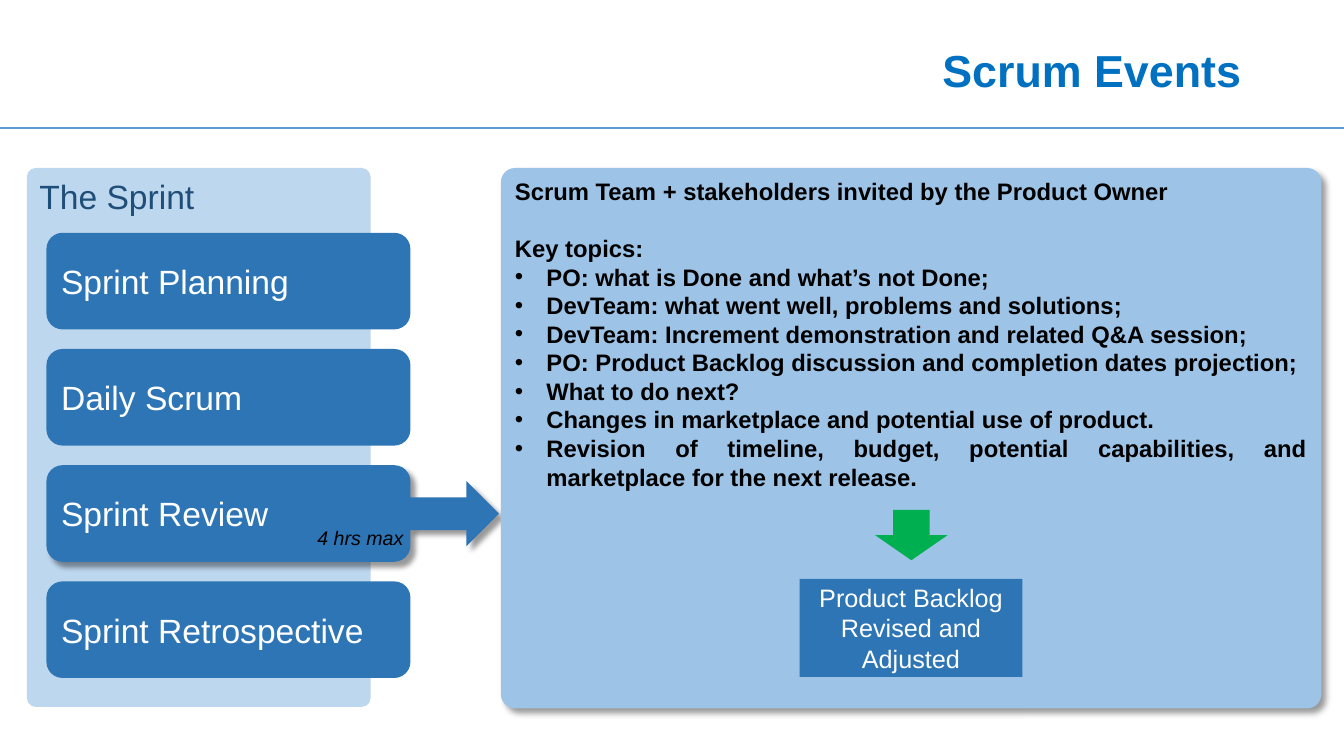
from lxml import etree
from pptx import Presentation
from pptx.dml.color import RGBColor
from pptx.enum.shapes import MSO_CONNECTOR, MSO_SHAPE
from pptx.enum.text import MSO_ANCHOR, MSO_AUTO_SIZE, PP_ALIGN
from pptx.oxml.ns import qn
from pptx.util import Pt

ROUNDED = MSO_SHAPE.ROUNDED_RECTANGLE
STRAIGHT = MSO_CONNECTOR.STRAIGHT
TOP, MIDDLE = MSO_ANCHOR.TOP, MSO_ANCHOR.MIDDLE
LEFT, RIGHT, CENTER, JUSTIFY = PP_ALIGN.LEFT, PP_ALIGN.RIGHT, PP_ALIGN.CENTER, PP_ALIGN.JUSTIFY
GROW = MSO_AUTO_SIZE.SHAPE_TO_FIT_TEXT

BLACK = RGBColor(0x00, 0x00, 0x00)
WHITE = RGBColor(0xFF, 0xFF, 0xFF)
TITLE_BLUE = RGBColor(0x00, 0x70, 0xC0)
RULE_BLUE = RGBColor(0x5B, 0x9B, 0xD5)
PALE_BLUE = RGBColor(0xBD, 0xD7, 0xEE)
PANEL_BLUE = RGBColor(0x9D, 0xC3, 0xE6)
EVENT_BLUE = RGBColor(0x2E, 0x75, 0xB6)
NAVY = RGBColor(0x1F, 0x4E, 0x79)
GREEN = RGBColor(0x00, 0xB0, 0x50)


def add_block(kind, left, top, width, height, color, corner=None, shadow=False):
    box = page.shapes.add_shape(kind, Pt(left), Pt(top), Pt(width), Pt(height))
    box.shadow.inherit = False
    box.fill.solid()
    box.fill.fore_color.rgb = color
    box.line.fill.background()
    if corner is not None:
        box.adjustments[0] = corner
    if shadow:
        effects = box._element.spPr.find(qn("a:effectLst"))
        outer = etree.SubElement(effects, qn("a:outerShdw"), blurRad=str(Pt(4)),
                                 dist=str(Pt(5)), dir="2700000", algn="tl", rotWithShape="0")
        tint = etree.SubElement(outer, qn("a:srgbClr"), val="000000")
        etree.SubElement(tint, qn("a:alpha"), val="40000")
    return box


def write(box, lines, size, color, align=LEFT, anchor=MIDDLE, bold=False, italic=False):
    frame = box.text_frame
    frame.vertical_anchor = anchor
    for index, line in enumerate(lines):
        para = frame.add_paragraph() if index else frame.paragraphs[0]
        para.alignment = align
        span = para.add_run()
        span.text = line
        span.font.name = "Arial"
        span.font.size = Pt(size)
        span.font.bold = bold
        span.font.italic = italic
        span.font.color.rgb = color


deck = Presentation()
deck.slide_width, deck.slide_height = Pt(960), Pt(540)
page = deck.slides.add_slide(deck.slide_layouts[5])

# Title and rule
rule = page.shapes.add_connector(STRAIGHT, Pt(0), Pt(91.4), Pt(960), Pt(91.4))
rule.line.color.rgb = RULE_BLUE
rule.line.width = Pt(1.5)
etree.SubElement(rule._element.spPr, qn("a:effectLst"))

title = page.shapes.title
title.left, title.top, title.width, title.height = Pt(66), Pt(28.8), Pt(828), Pt(46)
write(title, ["Scrum Events"], 32, TITLE_BLUE, RIGHT, bold=True)
title.text_frame.paragraphs[0].line_spacing = 0.9

# Sprint container with its events
sprint = add_block(ROUNDED, 19.2, 120, 245.5, 385, PALE_BLUE, 0.026)
write(sprint, ["The Sprint"], 24, NAVY, anchor=TOP)

EVENTS = ["Sprint Planning", "Daily Scrum", "Sprint Review", "Sprint Retrospective"]
CURRENT = "Sprint Review"
for row, event in enumerate(EVENTS):
    card = add_block(ROUNDED, 33.2, 166.3 + 83 * row, 260, 69, EVENT_BLUE,
                     shadow=event == CURRENT)
    write(card, [event], 24, WHITE)

add_block(MSO_SHAPE.RIGHT_ARROW, 292.5, 343.5, 64, 46.8, EVENT_BLUE, shadow=True)

# Details of the current event
INTRO = ["Scrum Team + stakeholders invited by the Product Owner", "Key topics:"]
TOPICS = [
    "PO: what is Done and what’s not Done;",
    "DevTeam: what went well, problems and solutions;",
    "DevTeam: Increment demonstration and related Q&A session;",
    "PO: Product Backlog discussion and completion dates projection;",
    "What to do next?",
    "Changes in marketplace and potential use of product.",
    "Revision of timeline, budget, potential capabilities, and marketplace for the next release.",
]
panel = add_block(ROUNDED, 357.8, 120, 586, 386, PANEL_BLUE, 0.026, shadow=True)
write(panel, INTRO + TOPICS, 17, BLACK, JUSTIFY, TOP, bold=True)
paras = panel.text_frame.paragraphs
paras[1].space_before = Pt(20)
for para in paras[len(INTRO):]:
    props = para._p.get_or_add_pPr()
    props.set("marL", str(Pt(22.5)))
    props.set("indent", str(-Pt(22.5)))
    etree.SubElement(props, qn("a:buFont"), typeface="Arial")
    etree.SubElement(props, qn("a:buChar"), char="•")

# Time limit
limit = page.shapes.add_textbox(Pt(219.6), Pt(372.2), Pt(76.3), Pt(24.5))
limit.text_frame.word_wrap = False
limit.text_frame.auto_size = GROW
write(limit, ["4 hrs max"], 14, BLACK, anchor=TOP, italic=True)

# Outcome
add_block(MSO_SHAPE.DOWN_ARROW, 625, 364.2, 52, 36, GREEN)
outcome = add_block(ROUNDED, 571.2, 413.5, 159, 70, EVENT_BLUE, 0)
write(outcome, ["Product Backlog", "Revised and", "Adjusted"], 18, WHITE, CENTER)

deck.save("out.pptx")
